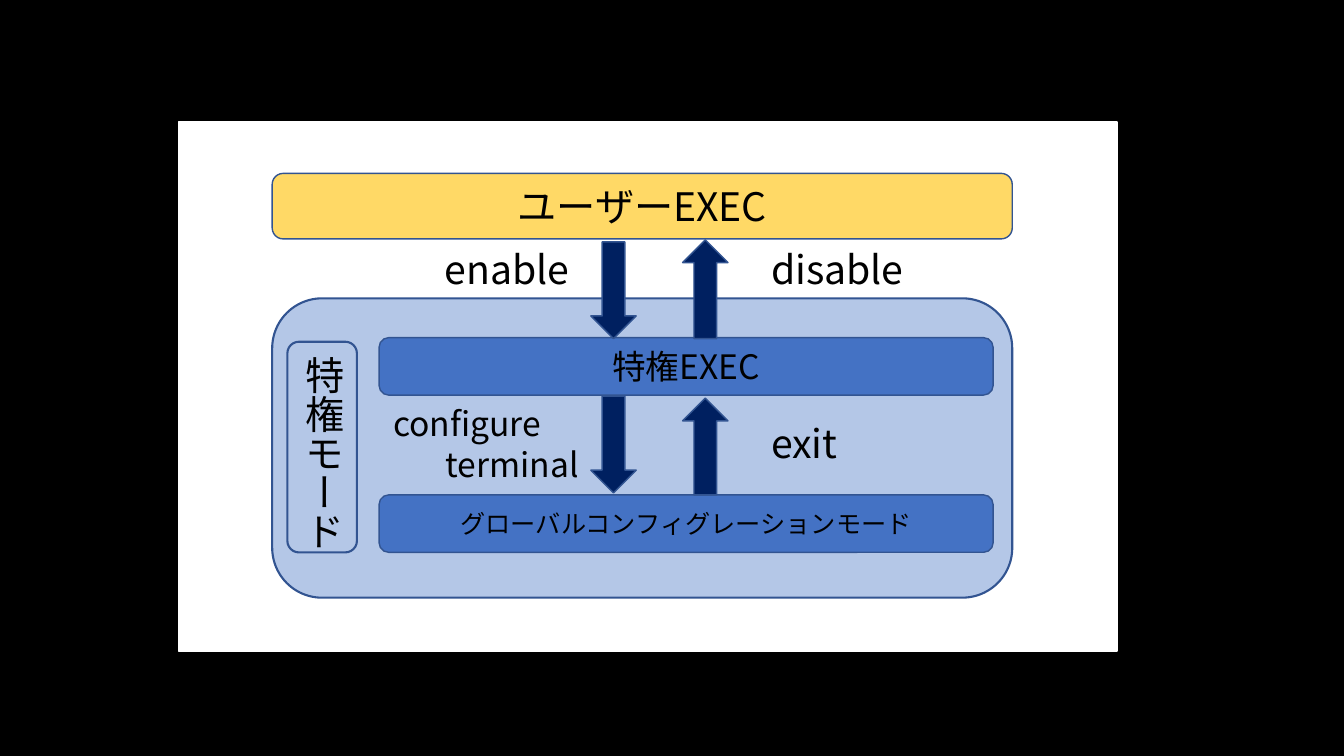
from dataclasses import dataclass

from pptx import Presentation
from pptx.dml.color import RGBColor
from pptx.enum.shapes import MSO_SHAPE as Preset
from pptx.enum.text import MSO_ANCHOR as Anchor, MSO_AUTO_SIZE as AutoSize, PP_ALIGN as Align
from pptx.oxml.ns import qn
from pptx.util import Inches, Pt


@dataclass(frozen=True)
class Theme:
    font: str = "Noto Sans CJK JP"
    background: str = "000000"
    panel: str = "FFFFFF"
    text: str = "000000"
    user: str = "FFD966"
    privileged: str = "B4C7E7"
    mode: str = "4472C4"
    arrow: str = "002060"
    outline: str = "325491"
    large: int = 28
    medium: int = 24
    small: int = 18
    thin: float = 1
    thick: float = 1.5


THEME = Theme()


def color(value):
    return RGBColor.from_string(value)


def write(shape, text, size, align=Align.LEFT, **frame_format):
    """Put one paragraph per line of text into the shape."""
    frame = shape.text_frame
    for name, value in frame_format.items():
        setattr(frame, name, value)
    frame.text = text
    for paragraph in frame.paragraphs:
        paragraph.alignment = align
        for run in paragraph.runs:
            font_format = {"name": THEME.font, "size": Pt(size)}
            for name, value in font_format.items():
                setattr(run.font, name, value)
            run.font.color.rgb = color(THEME.text)
            east_asian = run.font._element.makeelement(qn("a:ea"), {"typeface": THEME.font})
            run.font._element.find(qn("a:latin")).addnext(east_asian)


def add_block(slide, preset, box, fill=None, outline=THEME.outline, weight=THEME.thin):
    shape = slide.shapes.add_shape(preset, *map(Inches, box))
    shape.shadow.inherit = False
    if fill:
        shape.fill.solid()
        shape.fill.fore_color.rgb = color(fill)
    else:
        shape.fill.background()
    shape.line.color.rgb = color(outline)
    shape.line.width = Pt(weight)
    return shape


def add_bar(slide, box, text, fill, size):
    bar = add_block(slide, Preset.ROUNDED_RECTANGLE, box, fill)
    write(bar, text, size, Align.CENTER, vertical_anchor=Anchor.MIDDLE, word_wrap=True)


def add_label(slide, box, text, size=THEME.large):
    label = slide.shapes.add_textbox(*map(Inches, box))
    write(label, text, size, word_wrap=True, auto_size=AutoSize.SHAPE_TO_FIT_TEXT)
    return label


def add_arrow(slide, box, upward=False):
    arrow = add_block(slide, Preset.DOWN_ARROW, box, THEME.arrow)
    arrow.rotation = 180 if upward else 0


def add_privileged_modes(slide, box):
    """Large rounded area with its vertical title and two mode bars."""
    left, top, width, height = box
    add_block(slide, Preset.ROUNDED_RECTANGLE, box, THEME.privileged, weight=THEME.thick)

    # Mode bars
    modes = [("特権EXEC", THEME.medium), ("グローバルコンフィグレーションモード", THEME.small)]
    for row, (text, size) in enumerate(modes):
        bar_box = (left + 1.06, top + 0.39 + row * 1.56, width - 1.25, 0.57)
        add_bar(slide, bar_box, text, THEME.mode, size)

    # Vertical title
    add_block(slide, Preset.ROUNDED_RECTANGLE, (left + 0.15, top + 0.43, 0.69, 2.09),
              weight=THEME.thick)
    title = add_label(slide, (left + 0.12, top + 0.47, 0.67, 2.19), "特権モード")
    title.text_frame._txBody.bodyPr.set("vert", "eaVert")


def add_transitions(slide, box):
    """Down and up arrows with the commands that move between modes."""
    left, top, width, height = box
    down, up = left + 2.06, left + 2.97
    command = left + 3.75
    second = top + 1.55

    # Arrows
    add_arrow(slide, (down, top + 0.02, 0.45, 0.96))
    add_arrow(slide, (up, top, 0.45, 0.98), upward=True)
    add_arrow(slide, (down, second, 0.45, 0.96))
    add_arrow(slide, (up, second + 0.02, 0.45, 0.96), upward=True)

    # Commands
    add_label(slide, (left + 0.51, top, 1.49, 0.57), "enable")
    add_label(slide, (command, top, 2.16, 0.57), "disable")
    add_label(slide, (command, top + 1.73, 1.3, 0.57), "exit")
    configure = add_label(slide, (left, top + 1.57, 2.28, 0.91),
                          "configure\nterminal", THEME.medium)
    indented = configure.text_frame.paragraphs[1]._p.get_or_add_pPr()
    indented.set("marL", str(Inches(0.52)))


def add_mode_diagram(slide, box):
    """White panel with the user mode above the privileged modes."""
    left, top, width, height = box
    add_block(slide, Preset.RECTANGLE, box, THEME.panel, outline=THEME.panel)
    inner, inner_width = left + 0.93, 7.34
    add_bar(slide, (inner, top + 0.51, inner_width, 0.65), "ユーザーEXEC",
            THEME.user, THEME.large)
    add_privileged_modes(slide, (inner, top + 1.75, inner_width, 2.97))
    add_transitions(slide, (left + 2.03, top + 1.17, 5.91, 2.53))


def main():
    presentation = Presentation()
    presentation.slide_width = Inches(13.33)
    presentation.slide_height = Inches(7.5)
    slide = presentation.slides.add_slide(presentation.slide_layouts[6])
    background = slide.background.fill
    background.solid()
    background.fore_color.rgb = color(THEME.background)
    add_mode_diagram(slide, (1.77, 1.21, 9.31, 5.25))
    presentation.save("out.pptx")


if __name__ == "__main__":
    main()
